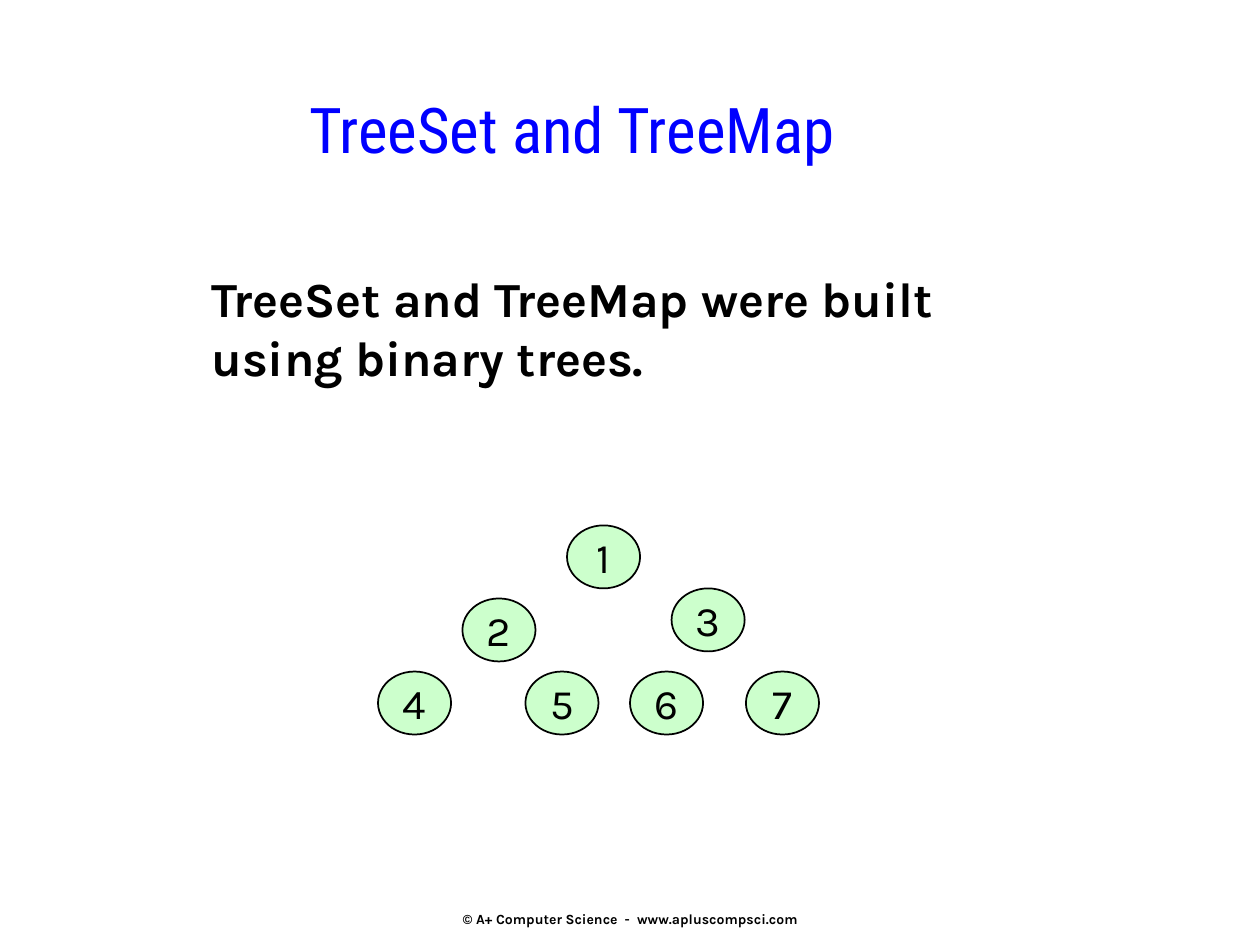
from pptx import Presentation
from pptx.dml.color import RGBColor
from pptx.enum.shapes import MSO_SHAPE
from pptx.enum.text import MSO_ANCHOR, MSO_AUTO_SIZE, PP_ALIGN
from pptx.util import Inches, Pt

OVAL = MSO_SHAPE.OVAL
TOP, MIDDLE = MSO_ANCHOR.TOP, MSO_ANCHOR.MIDDLE
LEFT, CENTER = PP_ALIGN.LEFT, PP_ALIGN.CENTER
NO_AUTOFIT = MSO_AUTO_SIZE.NONE

BLACK = RGBColor(0x00, 0x00, 0x00)
BLUE = RGBColor(0x00, 0x00, 0xFF)
MINT = RGBColor(0xCC, 0xFF, 0xCC)


def write(shape, lines, size, font="Karla", color=BLACK, bold=False,
          align=CENTER, anchor=MIDDLE, wrap=True):
    tf = shape.text_frame
    tf.auto_size = NO_AUTOFIT
    tf.word_wrap = wrap
    tf.vertical_anchor = anchor
    for i, line in enumerate(lines):
        p = tf.paragraphs[0] if i == 0 else tf.add_paragraph()
        p.alignment = align
        r = p.add_run()
        r.text = line
        r.font.name = font
        r.font.size = Pt(size)
        r.font.bold = bold
        r.font.color.rgb = color


prs = Presentation()
prs.slide_width, prs.slide_height = Inches(10), Inches(7.5)
s = prs.slides.add_slide(prs.slide_layouts[5])

title = s.shapes.title
title.left, title.top = Inches(1.83), Inches(0.67)
title.width, title.height = Inches(5.42), Inches(0.75)
write(title, ["TreeSet and TreeMap"], 36, "Roboto Condensed", BLUE, anchor=TOP)

body = s.shapes.add_textbox(Inches(1.58), Inches(2.08), Inches(6.45), Inches(1.5))
write(body, ["TreeSet and TreeMap were built", "using binary trees."], 28,
      bold=True, align=LEFT, anchor=TOP)

footer = s.shapes.add_textbox(Inches(3.42), Inches(7.04), Inches(3.17), Inches(0.5))
write(footer, ["© A+ Computer Science  -  www.apluscompsci.com"], 8,
      bold=True, wrap=False)

tree_nodes = [
    ("1", 4.5, 4.17),
    ("2", 3.67, 4.75),
    ("3", 5.33, 4.67),
    ("4", 3, 5.33),
    ("5", 4.17, 5.33),
    ("6", 5, 5.33),
    ("7", 5.92, 5.33),
]
tree = s.shapes.add_group_shape()
for label, x, y in tree_nodes:
    node = tree.shapes.add_shape(OVAL, Inches(x), Inches(y), Inches(0.58), Inches(0.5))
    node.shadow.inherit = False
    node.fill.solid()
    node.fill.fore_color.rgb = MINT
    node.line.color.rgb = BLACK
    node.line.width = Pt(1)
    write(node, [label], 24, wrap=False)

prs.save("out.pptx")
